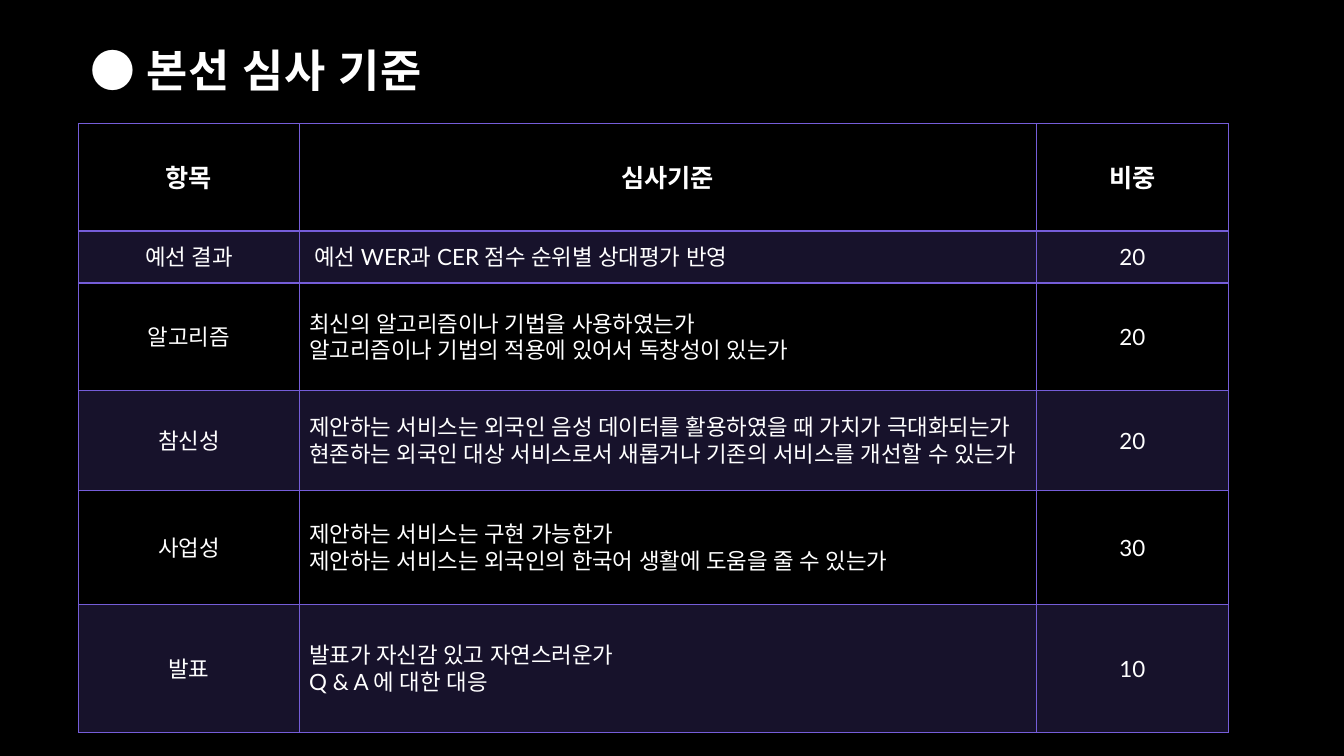
from dataclasses import dataclass

from lxml import etree
from pptx import Presentation
from pptx import util as u
from pptx.dml.color import RGBColor
from pptx.enum import text
from pptx.oxml import ns


@dataclass(frozen=True)
class Theme:
    back: str = "000000"
    ink: str = "FFFFFF"
    line: str = "755DD9"
    band: int = 20  # percent opacity of banded rows
    latin: str = "Lato"
    hangul: str = "Noto Sans CJK KR"
    title: int = 32
    head: int = 18
    body: int = 16


THEME = Theme()
MID = text.MSO_ANCHOR.MIDDLE
LEFT, CENTER = text.PP_ALIGN.LEFT, text.PP_ALIGN.CENTER


def sub(node, tag, **attrs):
    return etree.SubElement(node, ns.qn(tag), **attrs)


def write(para, words, size=THEME.body, bold=False, font=THEME.latin,
          space=0, align=LEFT):
    """Add one formatted run to a paragraph."""
    para.alignment = align
    run = para.add_run()
    run.text = words
    run.font.size = u.Pt(size)
    run.font.bold = bold
    run.font.name = font
    run.font.color.rgb = RGBColor.from_string(THEME.ink)
    props = run.font._element
    sub(props, "a:ea", typeface=font)
    if space:
        props.set("spc", str(round(space * 100)))


class Page:
    def __init__(self, deck, theme):
        self.theme = theme
        self.slide = deck.slides.add_slide(deck.slide_layouts[6])
        fill = self.slide.background.fill
        fill.solid()
        fill.fore_color.rgb = RGBColor.from_string(theme.back)

    def title(self, words, left, top, width, height):
        box = self.slide.shapes.add_textbox(
            u.Cm(left), u.Cm(top), u.Cm(width), u.Cm(height))
        frame = box.text_frame
        frame.word_wrap = True
        frame.vertical_anchor = MID
        frame.margin_left = frame.margin_right = 0
        frame.margin_top = frame.margin_bottom = 0
        para = frame.paragraphs[0]
        size = self.theme.title
        write(para, "● ", size=size, font=self.theme.hangul, space=0.6)
        write(para, words, size=size, bold=True, space=0.6)

    def border(self, cell, **widths):
        props = cell._tc.get_or_add_tcPr()
        for side in "LRTB":
            width = u.Pt(widths.get(side, 1))
            line = sub(props, f"a:ln{side}", w=str(int(width)))
            paint = sub(line, "a:solidFill")
            sub(paint, "a:srgbClr", val=self.theme.line)

    def shade(self, cell, on):
        if not on:
            cell.fill.background()
            return
        cell.fill.solid()
        cell.fill.fore_color.rgb = RGBColor.from_string(self.theme.line)
        paint = cell._tc.tcPr.find(ns.qn("a:solidFill"))
        sub(paint[0], "a:alpha", val=str(self.theme.band * 1000))

    def table(self, rows, left, top, widths, heights):
        grid = self.slide.shapes.add_table(
            len(rows), len(widths), u.Cm(left), u.Cm(top),
            u.Cm(sum(widths)), u.Cm(sum(heights))).table
        grid.first_row = grid.horz_banding = False
        for col, width in zip(grid.columns, widths):
            col.width = u.Cm(width)
        for row, height in zip(grid.rows, heights):
            row.height = u.Cm(height)
        for r, row in enumerate(rows):
            for c, words in enumerate(row):
                cell = grid.cell(r, c)
                cell.vertical_anchor = MID
                self.border(cell, T=2 if r == 1 else 1, B=2 if r == 0 else 1)
                self.shade(cell, r % 2 == 1)
                head = r == 0
                size = self.theme.head if head else self.theme.body
                align = CENTER if head or c != 1 else LEFT
                frame = cell.text_frame
                for i, part in enumerate(words.split("\n")):
                    para = frame.add_paragraph() if i else frame.paragraphs[0]
                    write(para, part, size=size, bold=head, align=align)
        return grid


deck = Presentation()
deck.slide_width, deck.slide_height = u.Cm(33.87), u.Cm(19.05)
page = Page(deck, THEME)

# Heading
page.title("본선 심사 기준", 2.27, 0.9, 24, 1.7)

# Judging criteria
RULES = [
    ("항목", "심사기준", "비중"),
    ("예선 결과", "예선 WER과 CER 점수 순위별 상대평가 반영", "20"),
    ("알고리즘", "최신의 알고리즘이나 기법을 사용하였는가\n"
     "알고리즘이나 기법의 적용에 있어서 독창성이 있는가", "20"),
    ("참신성", "제안하는 서비스는 외국인 음성 데이터를 활용하였을 때 가치가 극대화되는가\n"
     "현존하는 외국인 대상 서비스로서 새롭거나 기존의 서비스를 개선할 수 있는가", "20"),
    ("사업성", "제안하는 서비스는 구현 가능한가\n"
     "제안하는 서비스는 외국인의 한국어 생활에 도움을 줄 수 있는가", "30"),
    ("발표", "발표가 자신감 있고 자연스러운가\nQ & A 에 대한 대응", "10"),
]
grid = page.table(RULES, 1.98, 3.12, [5.56, 18.58, 4.84],
                  [2.7, 1.31, 2.71, 2.52, 2.87, 3.23])
grid.cell(1, 1).margin_left = u.Cm(0.38)

deck.save("out.pptx")
